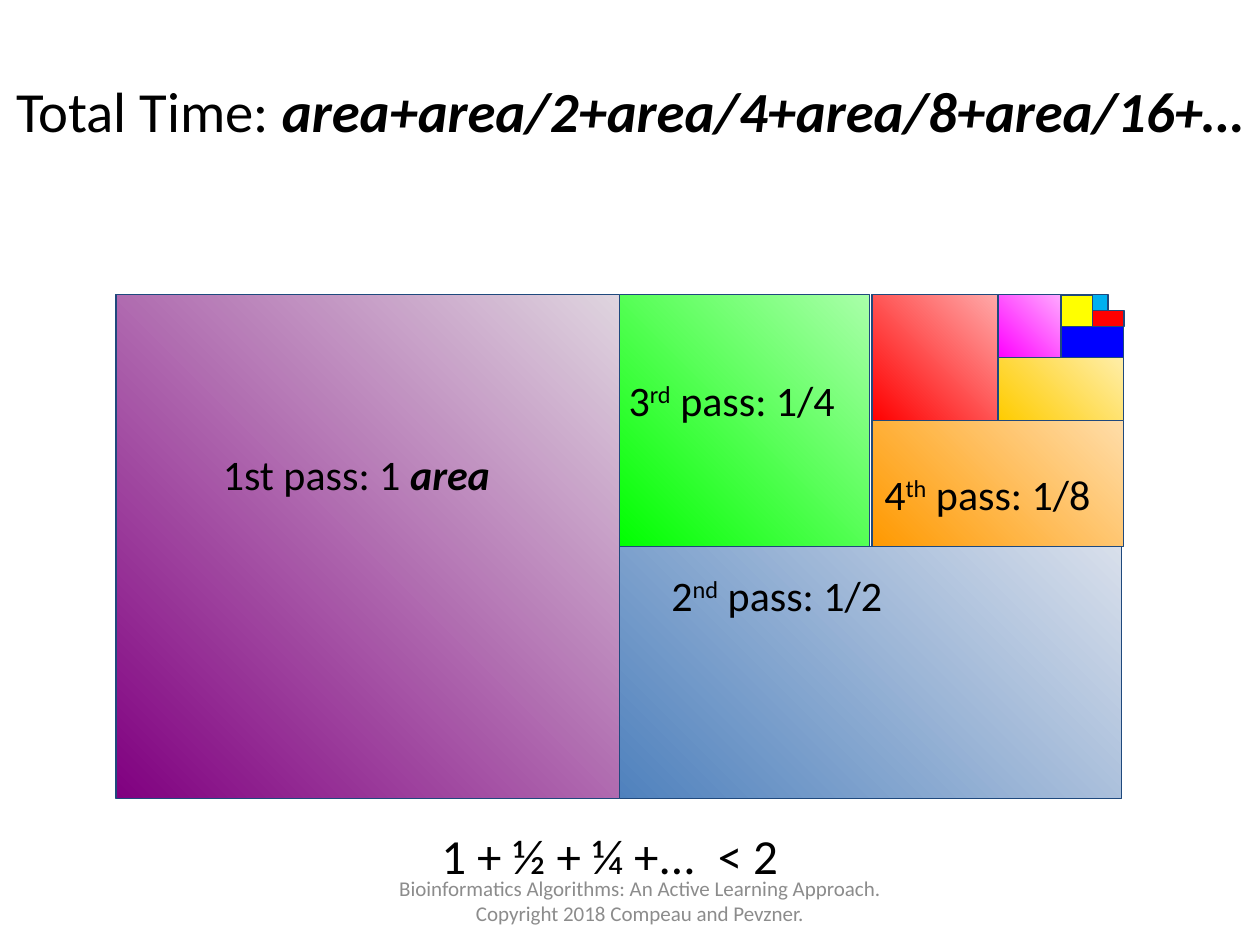
from dataclasses import dataclass

import pptx
import pptx.dml.color
import pptx.enum.shapes
import pptx.enum.text
import pptx.util

Pt = pptx.util.Pt
ALIGN = pptx.enum.text.PP_ALIGN
ANCHOR = pptx.enum.text.MSO_ANCHOR

COLOURS = {
    "text": "000000",
    "footer": "8C8C8C",
    "outline": "1F497D",
    "purple": "800080",
    "pale purple": "DFD5DF",
    "steel": "4F81BD",
    "pale steel": "D8DFEB",
    "green": "00FF00",
    "pale green": "A9FFA9",
    "orange": "FF9900",
    "pale orange": "FFDDA9",
    "red": "FF0000",
    "pale red": "FFA9A9",
    "gold": "FFCC00",
    "pale gold": "FFEEA9",
    "magenta": "FF00FF",
    "pale magenta": "FFA9FF",
    "blue": "0000FF",
    "yellow": "FFFF00",
    "sky": "00B0F0",
}

AREA_LEFT = 66.24
AREA_TOP = 168.5
AREA_SIDE = 288


@dataclass(frozen=True)
class Tile:
    level: int
    square: bool
    colours: tuple[str, ...]
    nudge: float = 0


@dataclass(frozen=True)
class Piece:
    text: str
    emphasis: bool = False
    superscript: bool = False


@dataclass(frozen=True)
class Label:
    box: tuple[float, float, float, float]
    pieces: tuple[Piece, ...]
    size: float = 24
    colour: str = "text"
    align: ALIGN = ALIGN.LEFT
    anchor: ANCHOR = ANCHOR.TOP
    indent: float = 7.2


TILES = [
    Tile(1, True, ("green", "pale green"), -1.44),
    Tile(0, False, ("steel", "pale steel"), -1.44),
    Tile(0, True, ("purple", "pale purple")),
    Tile(1, False, ("orange", "pale orange")),
    Tile(2, True, ("red", "pale red")),
    Tile(2, False, ("gold", "pale gold")),
    Tile(3, True, ("magenta", "pale magenta")),
    Tile(3, False, ("blue",)),
    Tile(4, True, ("yellow",)),
    Tile(4, False, ("red",)),
    Tile(5, True, ("sky",)),
]


def pass_pieces(number: str, suffix: str, share: str) -> tuple[Piece, ...]:
    return (
        Piece(number),
        Piece(suffix, superscript=True),
        Piece(f" pass: {share}"),
    )


LABELS = [
    Label(
        (0, 41.76, 720, 41.76),
        (
            Piece("Total Time: "),
            Piece("area+area/2+area/4+area/8+area/16+…", emphasis=True),
        ),
        size=32.4,
        align=ALIGN.CENTER,
        anchor=ANCHOR.MIDDLE,
    ),
    Label(
        (226, 468, 252, 41.76),
        (Piece("1 + ½ + ¼ +...  < 2"),),
        size=28,
        indent=26.2,
    ),
    Label(
        (120.24, 252.72, 180, 36.72),
        (Piece("1st pass: 1 "), Piece("area", emphasis=True)),
    ),
    Label((376.56, 321.84, 138.24, 36.72), pass_pieces("2", "nd", "1/2")),
    Label((352.08, 210.24, 135.36, 36.72), pass_pieces("3", "rd", "1/4")),
    Label((498.24, 264.24, 156.24, 36), pass_pieces("4", "th", "1/8")),
    Label(
        (203.76, 500.4, 324, 28.8),
        (
            Piece(
                "Bioinformatics Algorithms: An Active Learning Approach. "
                "Copyright 2018 Compeau and Pevzner."
            ),
        ),
        size=12,
        colour="footer",
        align=ALIGN.CENTER,
        anchor=ANCHOR.MIDDLE,
    ),
]


def colour(name: str) -> pptx.dml.color.RGBColor:
    return pptx.dml.color.RGBColor.from_string(COLOURS[name])


def apply_format(target: object, values: dict[str, object]) -> None:
    for name, value in values.items():
        setattr(target, name, value)


def tile_box(tile: Tile) -> tuple[float, float, float, float]:
    side = AREA_SIDE / 2**tile.level
    left = AREA_LEFT + 2 * (AREA_SIDE - side) + tile.nudge
    if tile.square:
        return left, AREA_TOP, side, side
    return left + side, AREA_TOP + side / 2, side, side / 2


def draw_tile(slide: pptx.slide.Slide, tile: Tile) -> None:
    shape = slide.shapes.add_shape(
        pptx.enum.shapes.MSO_SHAPE.RECTANGLE, *map(Pt, tile_box(tile))
    )
    shape.shadow.inherit = False
    if len(tile.colours) == 1:
        shape.fill.solid()
        shape.fill.fore_color.rgb = colour(tile.colours[0])
    else:
        shape.fill.gradient()
        shape.fill.gradient_angle = 45
        for stop, name, position in zip(
            shape.fill.gradient_stops, tile.colours, (0, 1)
        ):
            stop.color.rgb = colour(name)
            stop.position = position
    shape.line.color.rgb = colour("outline")
    shape.line.width = Pt(0.75)


def draw_label(slide: pptx.slide.Slide, label: Label) -> None:
    frame = slide.shapes.add_textbox(*map(Pt, label.box)).text_frame
    apply_format(
        frame,
        {
            "word_wrap": True,
            "vertical_anchor": label.anchor,
            "margin_left": Pt(label.indent),
        },
    )
    paragraph = frame.paragraphs[0]
    paragraph.alignment = label.align
    for piece in label.pieces:
        run = paragraph.add_run()
        run.text = piece.text
        apply_format(
            run.font,
            {
                "name": "Calibri",
                "size": Pt(label.size),
                "bold": piece.emphasis,
                "italic": piece.emphasis,
            },
        )
        run.font.color.rgb = colour(label.colour)
        if piece.superscript:
            run._r.get_or_add_rPr().set("baseline", "30000")


def main() -> None:
    presentation = pptx.Presentation()
    apply_format(
        presentation, {"slide_width": Pt(720), "slide_height": Pt(540)}
    )
    slide = presentation.slides.add_slide(presentation.slide_layouts[6])
    for tile in TILES:
        draw_tile(slide, tile)
    for label in LABELS:
        draw_label(slide, label)
    presentation.save("out.pptx")


if __name__ == "__main__":
    main()
